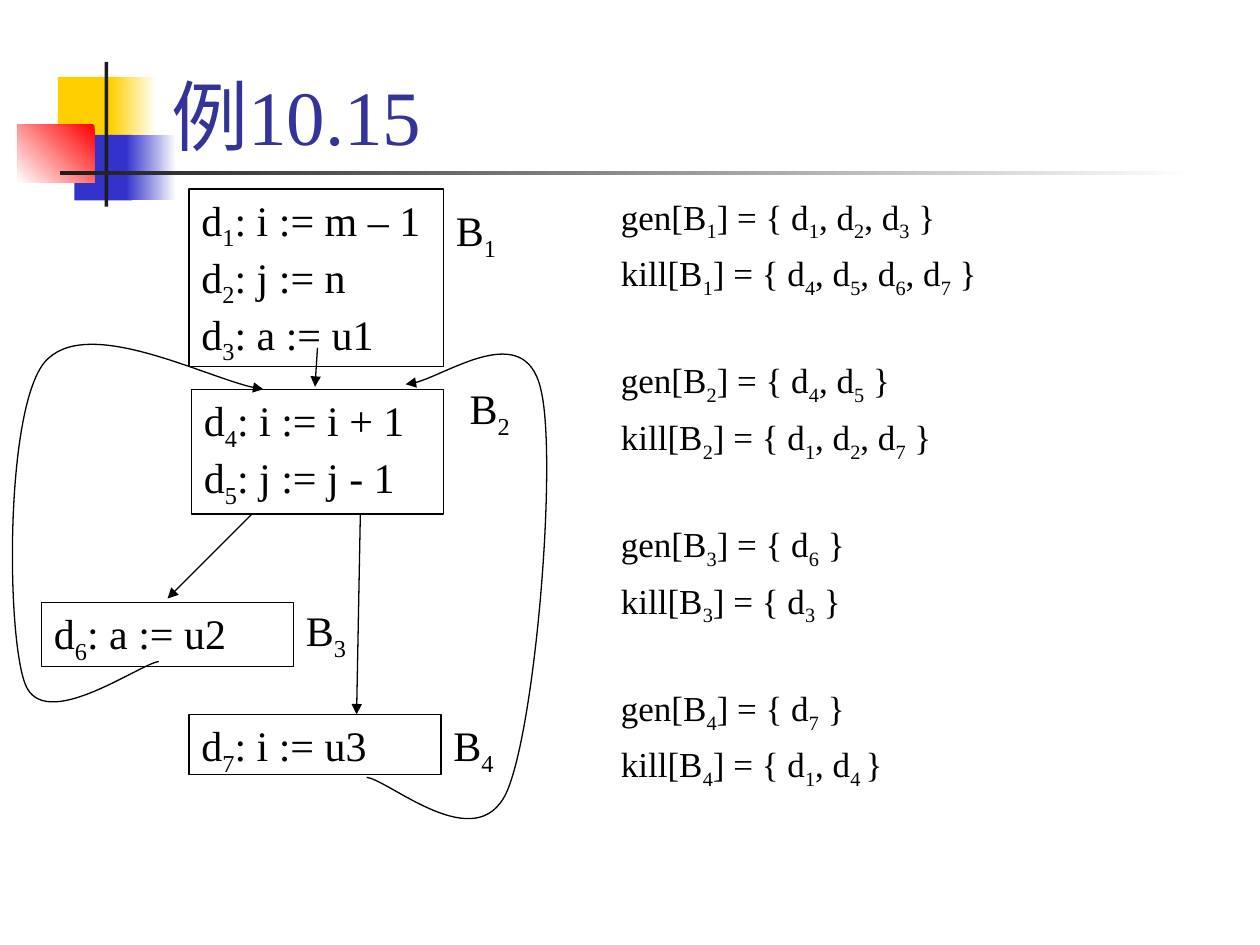
from lxml import etree
from pptx import Presentation
from pptx.dml.color import RGBColor
from pptx.enum.shapes import MSO_CONNECTOR, MSO_SHAPE
from pptx.enum.text import MSO_ANCHOR, PP_ALIGN
from pptx.oxml.ns import qn
from pptx.util import Inches, Pt

RECT = MSO_SHAPE.RECTANGLE
STRAIGHT = MSO_CONNECTOR.STRAIGHT
LEFT = PP_ALIGN.LEFT
TOP, BOTTOM = MSO_ANCHOR.TOP, MSO_ANCHOR.BOTTOM
FONT = "Times New Roman"
COLORS = {"white": "FFFFFF", "yellow": "FFCF01", "blue": "3333CC", "red": "FF0000",
          "dark": "1C1C1C", "title": "333399", "black": "000000"}

# Content: an underscore makes the next character a subscript
TITLE = "例10.15"
BLOCKS = [  # box, statements, label, label box, label line spacing
    ((1.5, 1.5, 2.02, 1.41), ["d_1: i := m – 1", "d_2: j := n", "d_3: a := u1"],
     "B_1", (3.52, 1.58, 0.58, 0.51), 0.9),
    ((1.52, 3.09, 2, 0.99), ["d_4: i := i + 1", "d_5: j := j - 1"],
     "B_2", (3.63, 2.99, 0.67, 0.56), 1.0),
    ((0.33, 4.78, 2, 0.51), ["d_6: a := u2"], "B_3", (2.33, 4.75, 0.67, 0.56), 1.0),
    ((1.5, 5.67, 2, 0.48), ["d_7: i := u3"], "B_4", (3.5, 5.67, 0.67, 0.51), 0.9),
]
SETS = [
    "gen[B_1] = { d_1, d_2, d_3 }", "kill[B_1] = { d_4, d_5, d_6, d_7 }",
    "gen[B_2] = { d_4, d_5 }", "kill[B_2] = { d_1, d_2, d_7 }",
    "gen[B_3] = { d_6 }", "kill[B_3] = { d_3 }",
    "gen[B_4] = { d_7 }", "kill[B_4] = { d_1, d_4_ }",
]
ARROWS = [((2.52, 2.76), (2.5, 3.07)), ((2, 4.08), (1.33, 4.75)),
          ((2.86, 4.08), (2.83, 5.67))]
BACK_EDGES = [  # start point, then three points for each Bezier segment
    [(2.91, 6.17),
     (3.09, 6.19), (3.78, 6.81), (4.02, 6.29),
     (4.25, 5.78), (4.43, 3.62), (4.29, 3.08),
     (4.16, 2.54), (3.44, 3.05), (3.22, 3.05)],
    [(1.26, 5.25),
     (1.09, 5.28), (0.35, 5.82), (0.2, 5.43),
     (0.05, 5.04), (0.04, 3.27), (0.35, 2.88),
     (0.67, 2.49), (1.73, 3.05), (2.09, 3.09)],
]
DECOR = [  # box, colours of the fill, gradient angle
    ((0.46, 0.61, 0.48, 0.52), ["yellow"], 0),
    ((0.88, 0.61, 0.36, 0.52), ["white", "yellow"], 180),
    ((0.59, 1.07, 0.46, 0.52), ["blue"], 0),
    ((1, 1.07, 0.4, 0.52), ["white", "blue"], 180),
    ((0.14, 0.99, 0.61, 0.46), ["red", "white"], 225),
    ((0.83, 0.49, 0.03, 1.15), ["dark"], 0),
    ((0.48, 1.36, 9, 0.03), ["white", "dark"], 180),
]

prs = Presentation()
prs.slide_width, prs.slide_height = Inches(10), Inches(7.5)
s = prs.slides.add_slide(prs.slide_layouts[6])


def rgb(name):
    return RGBColor.from_string(COLORS[name])


def add_rect(box):
    sp = s.shapes.add_shape(RECT, *map(Inches, box))
    sp.shadow.inherit = False
    return sp


def outline(sp, arrow=False):
    sp.line.color.rgb = rgb("black")
    sp.line.width = Pt(0.75)
    if arrow:
        etree.SubElement(sp.line._get_or_add_ln(), qn("a:tailEnd"), type="triangle")


def write(sp, lines, size=24, color="black", anchor=TOP, spacing=1.0, gaps=(3,)):
    """Write one paragraph per line; gaps repeat as the space before each line."""
    tf = sp.text_frame
    tf.word_wrap = True
    tf.vertical_anchor = anchor
    for i, line in enumerate(lines):
        p = tf.add_paragraph() if i else tf.paragraphs[0]
        p.alignment = LEFT
        p.line_spacing = spacing
        p.space_before = Pt(gaps[i % len(gaps)] if i else 0)
        head, *rest = line.split("_")
        runs = [(head, False)]
        for part in rest:
            runs += [(part[0], True), (part[1:], False)]
        for text, subscript in runs:
            if not text:
                continue
            r = p.add_run()
            r.text = text
            r.font.size, r.font.name = Pt(size), FONT
            r.font.color.rgb = rgb(color)
            if subscript:
                r._r.get_or_add_rPr().set("baseline", "-25000")


def add_text(box, lines, **fmt):
    write(s.shapes.add_textbox(*map(Inches, box)), lines, **fmt)


def add_curve(points):
    """Build an outline through all points, then turn each three into a Bezier."""
    start, *others = [tuple(map(Inches, point)) for point in points]
    fb = s.shapes.build_freeform(*start)
    fb.add_line_segments(others, close=False)
    sp = fb.convert_to_shape()
    segments = list(sp._element.iter(qn("a:lnTo")))
    outline_path = segments[0].getparent()
    for i in range(0, len(segments), 3):
        curve = etree.SubElement(outline_path, qn("a:cubicBezTo"))
        for segment in segments[i:i + 3]:
            curve.append(segment[0])
            outline_path.remove(segment)
    sp.shadow.inherit = False
    sp.fill.background()
    outline(sp, arrow=True)


# Corner decoration and title rule
for box, names, angle in DECOR:
    sp = add_rect(box)
    sp.line.fill.background()
    if len(names) == 1:
        sp.fill.solid()
        sp.fill.fore_color.rgb = rgb(names[0])
    else:
        sp.fill.gradient()
        sp.fill.gradient_angle = angle
        for stop, name in zip(sp.fill.gradient_stops, names):
            stop.color.rgb = rgb(name)

# Title and gen / kill sets, with a wide gap before each pair
add_text((1.26, 0.08, 8.52, 1.25), [TITLE], size=44, color="title", anchor=BOTTOM)
add_text((4.83, 1.5, 4.96, 5.5), SETS, size=20, gaps=(34, 5))

# Basic blocks with their labels
for box, statements, label, label_box, spacing in BLOCKS:
    sp = add_rect(box)
    sp.fill.background()
    outline(sp)
    write(sp, statements, spacing=0.9)
    add_text(label_box, [label], spacing=spacing)

# Forward edges
for start, end in ARROWS:
    cn = s.shapes.add_connector(STRAIGHT, *map(Inches, start + end))
    outline(cn, arrow=True)
    etree.SubElement(cn._element.spPr, qn("a:effectLst"))

# Back edges
for points in BACK_EDGES:
    add_curve(points)

prs.save("out.pptx")
